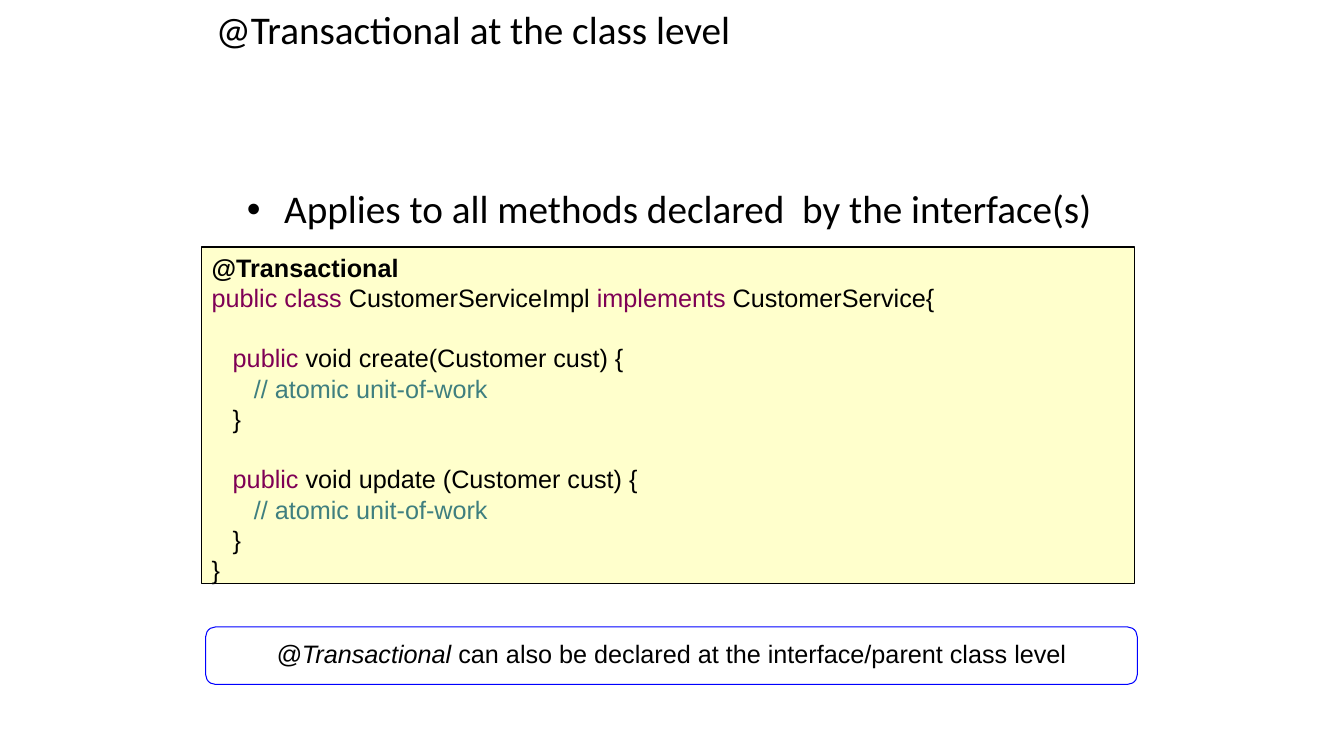
from pptx import Presentation
from pptx import util as u
from pptx.dml import color as colors
from pptx.enum import shapes, text
from pptx.oxml import ns
from lxml import etree

BLACK, KEYWORD, COMMENT = "000000", "7F0055", "3F7F7F"
LINE_PITCH = 21.6
INDENT = 0.21

CODE_LINES = [
    (0, 0, [("@Transactional", BLACK, True)]),
    (0, 0, [("public class ", KEYWORD, False), ("CustomerServiceImpl ", BLACK, False),
            ("implements ", KEYWORD, False), ("CustomerService{", BLACK, False)]),
]
for signature in ("void create(Customer cust) {", "void update (Customer cust) {"):
    CODE_LINES += [
        (1, LINE_PITCH, [("public ", KEYWORD, False), (signature, BLACK, False)]),
        (2, 0, [("// atomic unit-of-work", COMMENT, False)]),
        (1, 0, [("}", BLACK, False)]),
    ]
CODE_LINES.append((0, 0, [("}", BLACK, False)]))


def rgb(value):
    return colors.RGBColor.from_string(value)


def add_run(paragraph, words, font, size, color=BLACK, bold=False, italic=False):
    run = paragraph.add_run()
    run.text = words
    run.font.name = font
    run.font.size = u.Pt(size)
    run.font.bold = bold
    run.font.italic = italic
    run.font.color.rgb = rgb(color)


def set_indent(paragraph, left, first=0):
    properties = paragraph._p.get_or_add_pPr()
    properties.set("marL", str(u.Inches(left)))
    properties.set("indent", str(u.Inches(first)))
    return properties


def add_box(slide, kind, box, line_color, line_width, fill=None):
    shape = slide.shapes.add_shape(kind, *map(u.Inches, box))
    shape.shadow.inherit = False
    if fill:
        shape.fill.solid()
        shape.fill.fore_color.rgb = rgb(fill)
    else:
        shape.fill.background()
    shape.line.color.rgb = rgb(line_color)
    shape.line.width = u.Pt(line_width)
    shape.text_frame.word_wrap = True
    return shape


def add_title(slide, box):
    title = slide.shapes.title
    title.left, title.top, title.width, title.height = map(u.Inches, box)
    frame = title.text_frame
    frame.word_wrap = True
    frame.vertical_anchor = text.MSO_ANCHOR.MIDDLE
    paragraph = frame.paragraphs[0]
    paragraph.alignment = text.PP_ALIGN.LEFT
    paragraph.line_spacing = 0.9
    add_run(paragraph, "@Transactional at the class level", "Calibri", 28)


def add_bullet(slide, box):
    frame = slide.shapes.add_textbox(*map(u.Inches, box)).text_frame
    frame.word_wrap = True
    frame.vertical_anchor = text.MSO_ANCHOR.MIDDLE
    paragraph = frame.paragraphs[0]
    paragraph.line_spacing = 0.9
    properties = set_indent(paragraph, 0.37, -0.37)
    etree.SubElement(properties, ns.qn("a:buFont")).set("typeface", "Arial")
    etree.SubElement(properties, ns.qn("a:buChar")).set("char", "•")
    add_run(paragraph, "Applies to all methods declared  by the interface(s)", "Calibri", 28)


def add_code(slide, box):
    shape = add_box(slide, shapes.MSO_SHAPE.RECTANGLE, box, BLACK, 1, "FFFFCC")
    frame = shape.text_frame
    frame.vertical_anchor = text.MSO_ANCHOR.TOP
    for index, (level, gap, parts) in enumerate(CODE_LINES):
        paragraph = frame.add_paragraph() if index else frame.paragraphs[0]
        paragraph.alignment = text.PP_ALIGN.LEFT
        paragraph.line_spacing = u.Pt(LINE_PITCH)
        paragraph.space_before = u.Pt(gap)
        set_indent(paragraph, level * INDENT)
        for words, color, bold in parts:
            add_run(paragraph, words, "Arial", 18, color, bold)


def add_callout(slide, box):
    shape = add_box(slide, shapes.MSO_SHAPE.ROUNDED_RECTANGLE, box, "0000FF", 0)
    shape.adjustments[0] = 0.17
    frame = shape.text_frame
    frame.margin_top = 0
    frame.vertical_anchor = text.MSO_ANCHOR.MIDDLE
    paragraph = frame.paragraphs[0]
    paragraph.alignment = text.PP_ALIGN.CENTER
    add_run(paragraph, "@Transactional", "Arial", 18, italic=True)
    add_run(paragraph, " can also be declared at the interface/parent class level", "Arial", 18)


def main():
    presentation = Presentation()
    presentation.slide_width = u.Inches(13.33)
    presentation.slide_height = u.Inches(7.5)
    slide = presentation.slides.add_slide(presentation.slide_layouts[5])
    add_title(slide, (2.04, 0.05, 6.88, 0.53))
    add_code(slide, (2, 2.45, 9.25, 3.34))
    add_bullet(slide, (2.35, 1.83, 9.09, 0.53))
    add_callout(slide, (2.04, 6.22, 9.24, 0.57))
    presentation.save("out.pptx")


if __name__ == "__main__":
    main()
